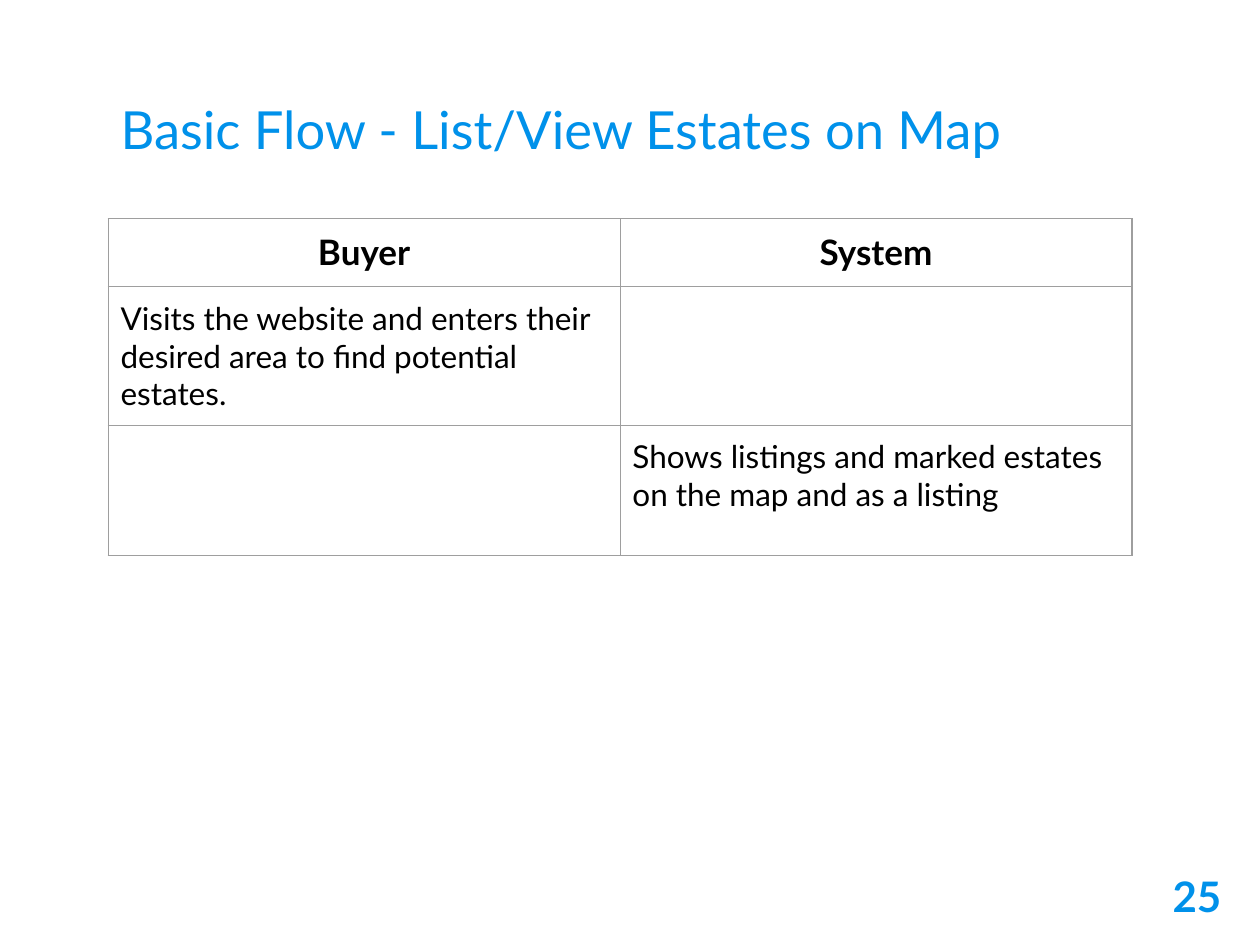
from lxml import etree
from pptx import Presentation
from pptx.dml.color import RGBColor
from pptx.enum.text import MSO_ANCHOR as ANCHOR, PP_ALIGN as ALIGN
from pptx.oxml.ns import qn
from pptx.util import Cm, Pt

BLUE, BLACK, GREY = "0091EA", "000000", "9E9E9E"
MARGIN = Cm(0.25)


def style(p, size, color, bold=False, align=ALIGN.LEFT):
    p.alignment = align
    p.font.name = "Lato"
    p.font.size = Pt(size)
    p.font.bold = bold
    p.font.color.rgb = RGBColor.from_string(color)


def set_margins(box):
    box.margin_left = box.margin_right = MARGIN
    box.margin_top = box.margin_bottom = MARGIN


prs = Presentation()
prs.slide_width, prs.slide_height = Cm(25.4), Cm(19.05)
s = prs.slides.add_slide(prs.slide_layouts[5])

# Title
title = s.shapes.title
title.left, title.top, title.width, title.height = Cm(2.18), Cm(0.89), Cm(21.03), Cm(2.59)
tf = title.text_frame
set_margins(tf)
tf.vertical_anchor = ANCHOR.BOTTOM
tf.text = "Basic Flow - List/View Estates on Map"
style(tf.paragraphs[0], 30, BLUE)

# Slide number
sp = s.shapes.add_textbox(Cm(23.22), Cm(17.3), Cm(1.65), Cm(1.75))
tf = sp.text_frame
set_margins(tf)
tf.word_wrap = True
tf.text = "25"
style(tf.paragraphs[0], 24, BLUE, True, ALIGN.RIGHT)

# Flow table
rows = [
    ("Buyer", "System"),
    ("Visits the website and enters their desired area to find potential estates.", ""),
    ("", "Shows listings and marked estates on the map and as a listing"),
]
heights = [1.37, 2.79, 2.62]
table = s.shapes.add_table(len(rows), 2, Cm(2.18), Cm(4.41), Cm(20.64), Cm(sum(heights))).table
table.horz_banding = False
for col in table.columns:
    col.width = Cm(10.32)

for i, (texts, height) in enumerate(zip(rows, heights)):
    table.rows[i].height = Cm(height)
    for j, text in enumerate(texts):
        cell = table.cell(i, j)
        cell.text = text
        set_margins(cell)
        if i == 0:
            style(cell.text_frame.paragraphs[0], 20, BLACK, True, ALIGN.CENTER)
        else:
            style(cell.text_frame.paragraphs[0], 18, BLACK)

        # Borders come before the fill in the cell properties
        tcPr = cell._tc.get_or_add_tcPr()
        for side in ("a:lnL", "a:lnR", "a:lnT", "a:lnB"):
            ln = etree.SubElement(tcPr, qn(side), w=str(Pt(0.75)))
            fill = etree.SubElement(ln, qn("a:solidFill"))
            etree.SubElement(fill, qn("a:srgbClr"), val=GREY)
        cell.fill.background()

prs.save("out.pptx")
